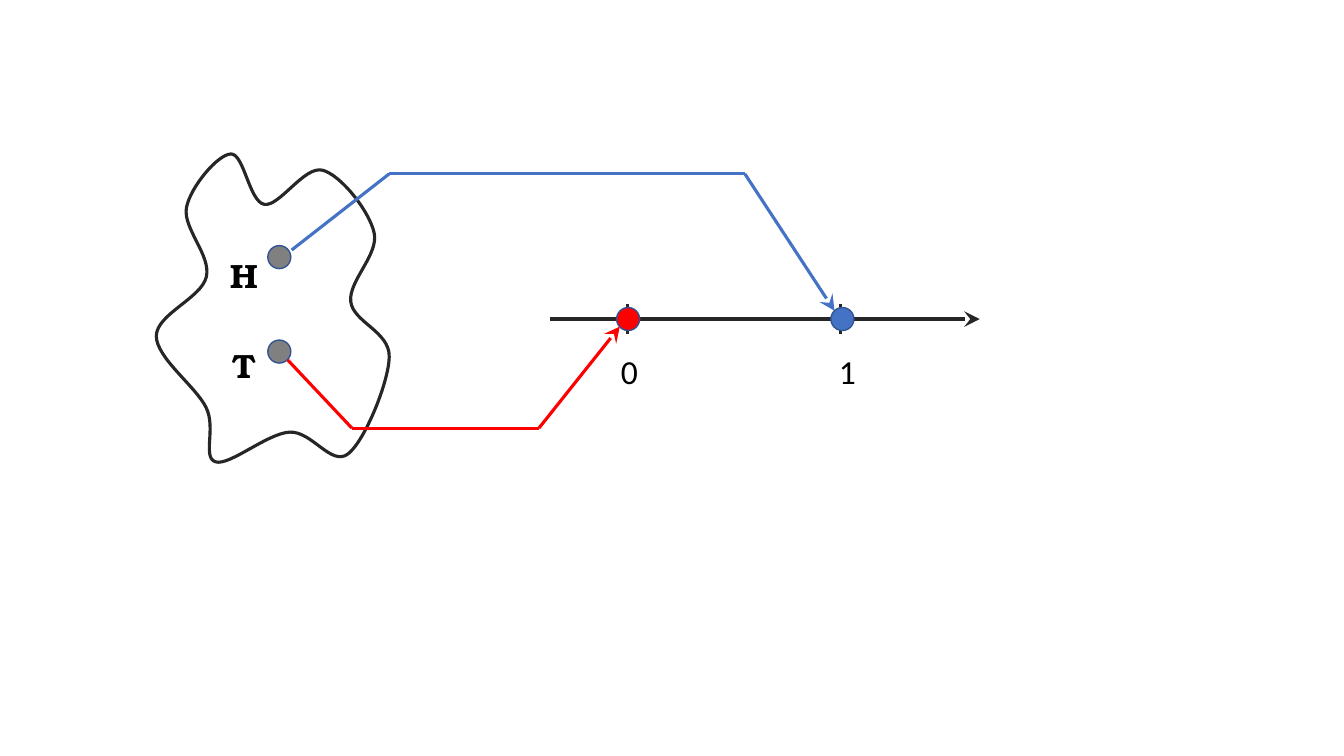
import pptx
import pptx.util
import pptx.dml.color
import pptx.enum.shapes
import pptx.enum.text
import pptx.oxml.ns
import lxml.etree

Cm, Pt = pptx.util.Cm, pptx.util.Pt
RGBColor = pptx.dml.color.RGBColor
qn = pptx.oxml.ns.qn
BLACK = RGBColor(0x00, 0x00, 0x00)
WHITE = RGBColor(0xFF, 0xFF, 0xFF)
INK = RGBColor(0x26, 0x26, 0x26)
GRAY = RGBColor(0x80, 0x80, 0x80)
BLUE = RGBColor(0x44, 0x72, 0xC4)
RIM = RGBColor(0x32, 0x54, 0x91)
RED = RGBColor(0xFF, 0x00, 0x00)

LINE_WIDTH = Pt(2.25)
DOT_SIZE = 0.58
AXIS_Y = 8.04


def draw_route(shapes, points, color, arrow=True):
    """Join the points with straight lines; the last may end in an arrowhead."""
    for start, end in zip(points, points[1:]):
        line = shapes.add_connector(
            pptx.enum.shapes.MSO_CONNECTOR.STRAIGHT,
            Cm(start[0]), Cm(start[1]), Cm(end[0]), Cm(end[1]))
        line.line.color.rgb = color
        line.line.width = LINE_WIDTH
        properties = line._element.spPr
        lxml.etree.SubElement(properties, qn("a:effectLst"))
    if arrow:
        outline = properties.find(qn("a:ln"))
        lxml.etree.SubElement(
            outline, qn("a:tailEnd"), type="stealth", w="lg", len="lg")


def draw_dot(center_x, center_y, color):
    dot = page.shapes.add_shape(
        pptx.enum.shapes.MSO_SHAPE.OVAL,
        Cm(center_x - DOT_SIZE / 2), Cm(center_y - DOT_SIZE / 2),
        Cm(DOT_SIZE), Cm(DOT_SIZE))
    dot.fill.solid()
    dot.fill.fore_color.rgb = color
    dot.line.color.rgb = RIM
    dot.line.width = Pt(1)
    dot.shadow.inherit = False


deck = pptx.Presentation()
deck.slide_width, deck.slide_height = Cm(33.87), Cm(19.05)
page = deck.slides.add_slide(deck.slide_layouts[6])

# Sample space: anchors in hundredths of a centimetre
anchors = [(470, 523), (582, 388), (666, 515), (813, 429), (943, 587),
           (884, 760), (981, 899), (877, 1144), (730, 1089), (544, 1164),
           (520, 1028), (394, 847), (520, 698)]
builder = page.shapes.build_freeform(*anchors[0], scale=Cm(0.01))
builder.add_line_segments(anchors[1:] + anchors[:1], close=True)
sample_space = builder.convert_to_shape()
sample_space.fill.solid()
sample_space.fill.fore_color.rgb = WHITE
sample_space.line.color.rgb = INK
sample_space.line.width = LINE_WIDTH
sample_space.shadow.inherit = False

# Round its sides: each handle is a sixth of the span between neighbours
origin = [min(values) for values in zip(*anchors)]
sides = list(sample_space._element.iter(qn("a:lnTo")))
for index, side in enumerate(sides):
    before, start, end, after = (
        anchors[(index + shift) % len(anchors)] for shift in (-1, 0, 1, 2))
    leaving = [b + (c - a) / 6 for a, b, c in zip(before, start, end)]
    arriving = [c - (d - b) / 6 for b, c, d in zip(start, end, after)]
    bend = lxml.etree.Element(qn("a:cubicBezTo"))
    for point in (leaving, arriving, end):
        x, y = (str(round(value - low)) for value, low in zip(point, origin))
        lxml.etree.SubElement(bend, qn("a:pt"), x=x, y=y)
    side.getparent().replace(side, bend)

# Its frame reaches down to the lowest bend
FRAME_HEIGHT = 790
sample_space.height = Cm(FRAME_HEIGHT / 100)
next(sample_space._element.iter(qn("a:path"))).set("h", str(FRAME_HEIGHT))

# Outcomes
for outcome_y in (6.48, 8.86):
    draw_dot(7.04, outcome_y, GRAY)

# Number line with its two ticks
draw_route(page.shapes, [(13.85, AXIS_Y), (24.69, AXIS_Y)], INK)
for tick_x in (15.81, 21.18):
    draw_route(page.shapes, [(tick_x, 8.42), (tick_x, 7.65)], INK, arrow=False)

# Labels
labels = [
    ("H", 5.56, 6.3, 1.22, "TeX Gyre Bonum", True),
    ("T", 5.61, 8.57, 1.12, "TeX Gyre Bonum", True),
    ("0", 15.4, 8.72, 1.52, "Calibri", False),
    ("1", 20.89, 8.72, 1.52, "Calibri", False),
]
for text, left, top, width, font, is_outcome in labels:
    box = page.shapes.add_textbox(Cm(left), Cm(top), Cm(width), Cm(1.28))
    box.text_frame.word_wrap = not is_outcome
    box.text_frame.auto_size = pptx.enum.text.MSO_AUTO_SIZE.SHAPE_TO_FIT_TEXT
    para = box.text_frame.paragraphs[0]
    span = para.add_run()
    span.text = text
    span.font.name = font
    span.font.size = Pt(24)
    span.font.bold = is_outcome
    span.font.color.rgb = BLACK

# Heads maps to one
heads_route = page.shapes.add_group_shape()
draw_route(heads_route.shapes,
           [(7.35, 6.3), (9.81, 4.38), (18.77, 4.38), (21.03, 7.83)], BLUE)

# Values on the number line
draw_dot(21.23, AXIS_Y, BLUE)
draw_dot(15.83, AXIS_Y, RED)

# Tails maps to zero
draw_route(page.shapes,
           [(7.25, 9.07), (8.87, 10.79), (13.58, 10.79), (15.62, 8.23)], RED)

deck.save("out.pptx")
